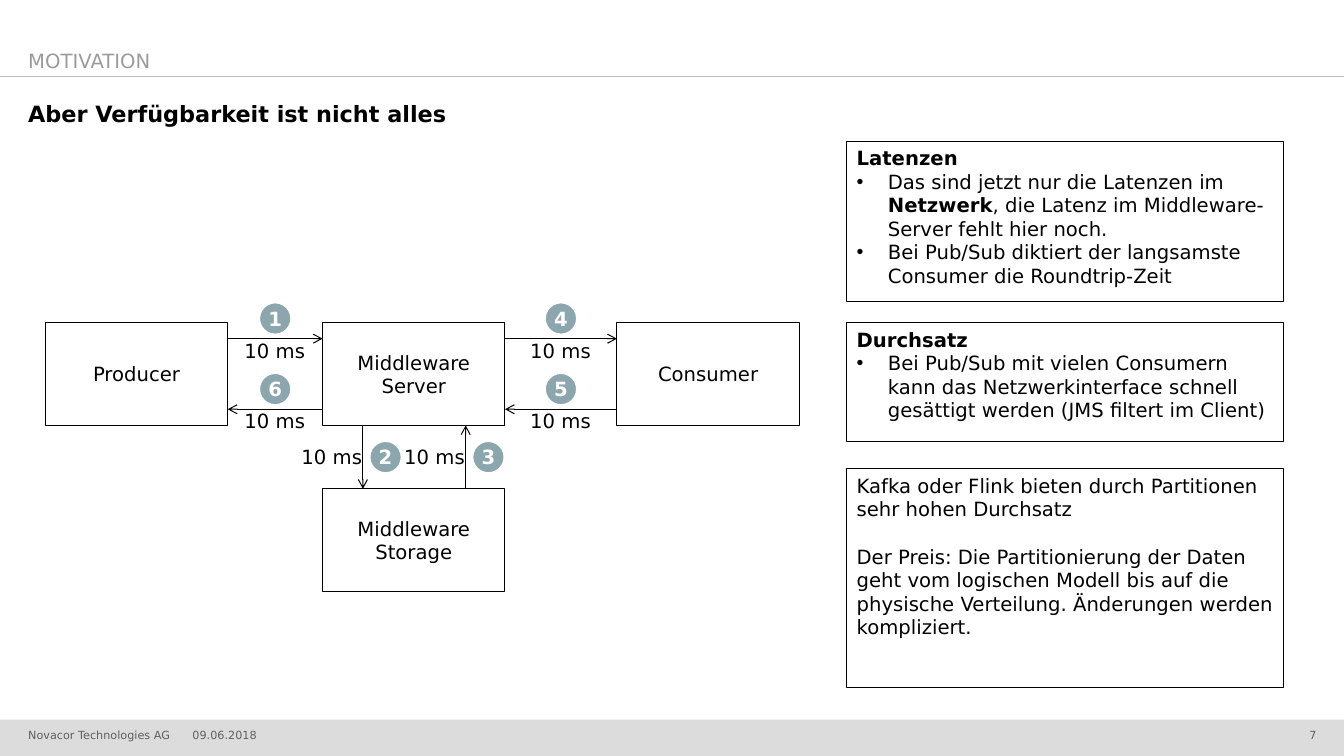
"""Build the slide on middleware latency and throughput."""
from dataclasses import dataclass

from lxml import etree
from pptx import Presentation
from pptx.dml.color import RGBColor
from pptx.enum.shapes import MSO_CONNECTOR, MSO_SHAPE
from pptx.enum.text import MSO_ANCHOR, PP_ALIGN
from pptx.oxml.ns import qn
from pptx.util import Inches, Pt

RECTANGLE, OVAL = MSO_SHAPE.RECTANGLE, MSO_SHAPE.OVAL
STRAIGHT = MSO_CONNECTOR.STRAIGHT
TOP, MIDDLE, BOTTOM = MSO_ANCHOR.TOP, MSO_ANCHOR.MIDDLE, MSO_ANCHOR.BOTTOM
LEFT, CENTER, RIGHT = PP_ALIGN.LEFT, PP_ALIGN.CENTER, PP_ALIGN.RIGHT

CELL = Inches(0.1)
COLUMNS, ROWS = 133.33, 75
MARGIN = 2.8
FOOTER_TOP, FOOTER_HEIGHT = 71.4, 3.6
NODE_WIDTH, NODE_HEIGHT = 18.1, 10.2
NODE_COLUMNS = (4.5, 32, 61.2)
NODE_ROWS = (32, 48.5)
LABEL_WIDTH, LABEL_HEIGHT = 6.1, 2.4
BADGE = 3.1
PANEL_LEFT, PANEL_WIDTH = 84, 43.3


@dataclass(frozen=True)
class Theme:
    """Font, colours and type sizes of the slide."""

    font: str = "DejaVu Sans"
    ink: str = "000000"
    paper: str = "FFFFFF"
    badge: str = "8BA6AD"
    band: str = "DCDCDC"
    rule: str = "BEBEBE"
    header: str = "9B9B9B"
    footer: str = "5F5F5F"
    title_size: int = 16
    body_size: int = 14
    footer_size: int = 8
    line: float = 0.75


THEME = Theme()


def grid(*lengths):
    """Turn grid units into slide lengths."""
    return [round(length * CELL) for length in lengths]


def add_spans(para, spans, size=THEME.body_size, color=THEME.ink):
    """Add (text, bold) runs to a paragraph."""
    for text, bold in spans:
        span = para.add_run()
        span.text = text
        span.font.name = THEME.font
        span.font.size = Pt(size)
        span.font.bold = bold
        span.font.color.rgb = RGBColor.from_string(color)


def set_frame(box, anchor, insets=(0, 0, 0, 0), wrap=True):
    """Set the anchor, insets and wrapping of a box and return its frame."""
    frame = box.text_frame
    frame.word_wrap = wrap
    frame.vertical_anchor = anchor
    (frame.margin_left, frame.margin_top,
     frame.margin_right, frame.margin_bottom) = grid(*insets)
    return frame


def add_text(page, place, text, size=THEME.body_size, color=THEME.ink, bold=False,
             anchor=TOP, align=LEFT, bottom=0, wrap=True):
    """Add a one-paragraph text box."""
    box = page.shapes.add_textbox(*grid(*place))
    para = set_frame(box, anchor, (0, 0, 0, bottom), wrap).paragraphs[0]
    para.alignment = align
    add_spans(para, [(text, bold)], size, color)


def add_block(page, place, kind=RECTANGLE, fill=THEME.paper, line=THEME.ink):
    """Add a filled shape without shadow."""
    shape = page.shapes.add_shape(kind, *grid(*place))
    shape.shadow.inherit = False
    shape.fill.solid()
    shape.fill.fore_color.rgb = RGBColor.from_string(fill)
    if line:
        shape.line.color.rgb = RGBColor.from_string(line)
        shape.line.width = Pt(THEME.line)
    else:
        shape.line.fill.background()
    return shape


def add_line(page, start, end, color=THEME.ink, arrow=False):
    """Add a straight line, with an optional arrowhead at its end."""
    line = page.shapes.add_connector(STRAIGHT, *grid(*start, *end))
    line.line.color.rgb = RGBColor.from_string(color)
    line.line.width = Pt(THEME.line)
    if arrow:
        etree.SubElement(line.line._get_or_add_ln(), qn("a:tailEnd"), type="arrow")
    etree.SubElement(line._element.spPr, qn("a:effectLst"))


def add_node(page, column, row, name):
    """Add a named system box to the diagram."""
    place = (NODE_COLUMNS[column], NODE_ROWS[row], NODE_WIDTH, NODE_HEIGHT)
    para = set_frame(add_block(page, place), MIDDLE, (1, 0.5, 1, 0.5)).paragraphs[0]
    para.alignment = CENTER
    add_spans(para, [(name, False)])


def add_step(page, number, start, end):
    """Add a numbered arrow with its latency."""
    add_line(page, start, end, arrow=True)
    across, down = (start[0] + end[0]) / 2, (start[1] + end[1]) / 2
    if start[1] == end[1]:
        label = (across - LABEL_WIDTH / 2, down)
        badge = (across - BADGE / 2, down - 3.55)
    else:
        label = (across - LABEL_WIDTH, down - LABEL_HEIGHT / 2)
        badge = (across + 0.7, down - BADGE / 2)
    add_text(page, (*label, LABEL_WIDTH, LABEL_HEIGHT), "10 ms", wrap=False)
    circle = add_block(page, (*badge, BADGE, BADGE), OVAL, THEME.badge, THEME.paper)
    para = set_frame(circle, MIDDLE, wrap=False).paragraphs[0]
    para.alignment = CENTER
    add_spans(para, [(str(number), True)], color=THEME.paper)


def add_bullet(para):
    """Give a paragraph a hanging bullet."""
    indent = Inches(0.31)
    properties = para._p.get_or_add_pPr()
    properties.set("marL", str(indent))
    properties.set("indent", str(-indent))
    etree.SubElement(properties, qn("a:buFont"), typeface="Arial")
    etree.SubElement(properties, qn("a:buChar"), char="•")


def add_panel(page, top, height, paragraphs, bulleted=True, gap=0):
    """Add a framed panel whose later paragraphs are bulleted or spaced."""
    box = add_block(page, (PANEL_LEFT, top, PANEL_WIDTH, height))
    frame = set_frame(box, TOP, (1, 0.5, 1, 0.5))
    for index, spans in enumerate(paragraphs):
        para = frame.add_paragraph() if index else frame.paragraphs[0]
        para.alignment = LEFT
        if index and gap:
            para.space_before = Pt(gap)
        if index and bulleted:
            add_bullet(para)
        add_spans(para, spans)


def add_furniture(page):
    """Add the header, title and footer."""
    add_block(page, (0, FOOTER_TOP, COLUMNS, FOOTER_HEIGHT), fill=THEME.band, line=None)
    add_line(page, (COLUMNS, 7.6), (0, 7.6), THEME.rule)
    add_text(page, (MARGIN, 9.9, 127.8, 5.5), "Aber Verfügbarkeit ist nicht alles",
             THEME.title_size, bold=True)
    add_text(page, (MARGIN, 2.9, 100.7, 4.7), "MOTIVATION",
             color=THEME.header, anchor=BOTTOM, bottom=0.4)
    for left, width, text, align in (
            (MARGIN, 15, "Novacor Technologies AG", LEFT),
            (19.1, 8, "09.06.2018", LEFT),
            (123.5, 7.1, "7", RIGHT)):
        add_text(page, (left, FOOTER_TOP, width, FOOTER_HEIGHT), text, THEME.footer_size,
                 THEME.footer, anchor=BOTTOM, align=align, bottom=1.4)


def add_diagram(page):
    """Add the systems and the six steps between them."""
    for column, row, name in ((0, 0, "Producer"), (1, 0, "Middleware Server"),
                              (1, 1, "Middleware Storage"), (2, 0, "Consumer")):
        add_node(page, column, row, name)
    producer, server, consumer = NODE_COLUMNS
    server_top, storage_top = NODE_ROWS
    server_bottom = server_top + NODE_HEIGHT
    request, reply = server_top + 1.6, server_bottom - 1.6
    store, confirm = server + 4, server + 14.2
    producer_end, server_end = producer + NODE_WIDTH, server + NODE_WIDTH
    steps = (((producer_end, request), (server, request)),
             ((store, server_bottom), (store, storage_top)),
             ((confirm, storage_top), (confirm, server_bottom)),
             ((server_end, request), (consumer, request)),
             ((consumer, reply), (server_end, reply)),
             ((server, reply), (producer_end, reply)))
    for number, (start, end) in enumerate(steps, 1):
        add_step(page, number, start, end)


def add_panels(page):
    """Add the three explanations on the right."""
    add_panel(page, 14, 15.9, [
        [("Latenzen", True)],
        [("Das sind jetzt nur die Latenzen im ", False), ("Netzwerk", True),
         (", die Latenz im Middleware-Server fehlt hier noch.", False)],
        [("Bei Pub/Sub diktiert der langsamste Consumer die Roundtrip-Zeit", False)]])
    add_panel(page, 32, 11.8, [
        [("Durchsatz", True)],
        [("Bei Pub/Sub mit vielen Consumern kann das Netzwerkinterface schnell "
          "gesättigt werden (JMS filtert im Client)", False)]])
    add_panel(page, 46.5, 21.7, [
        [("Kafka oder Flink bieten durch Partitionen sehr hohen Durchsatz", False)],
        [("Der Preis: Die Partitionierung der Daten geht vom logischen Modell bis auf die "
          "physische Verteilung. Änderungen werden kompliziert.", False)]],
        bulleted=False, gap=17)


def main():
    """Build and save the deck."""
    deck = Presentation()
    deck.slide_width, deck.slide_height = grid(COLUMNS, ROWS)
    page = deck.slides.add_slide(deck.slide_layouts[6])
    add_furniture(page)
    add_diagram(page)
    add_panels(page)
    deck.save("out.pptx")


if __name__ == "__main__":
    main()
